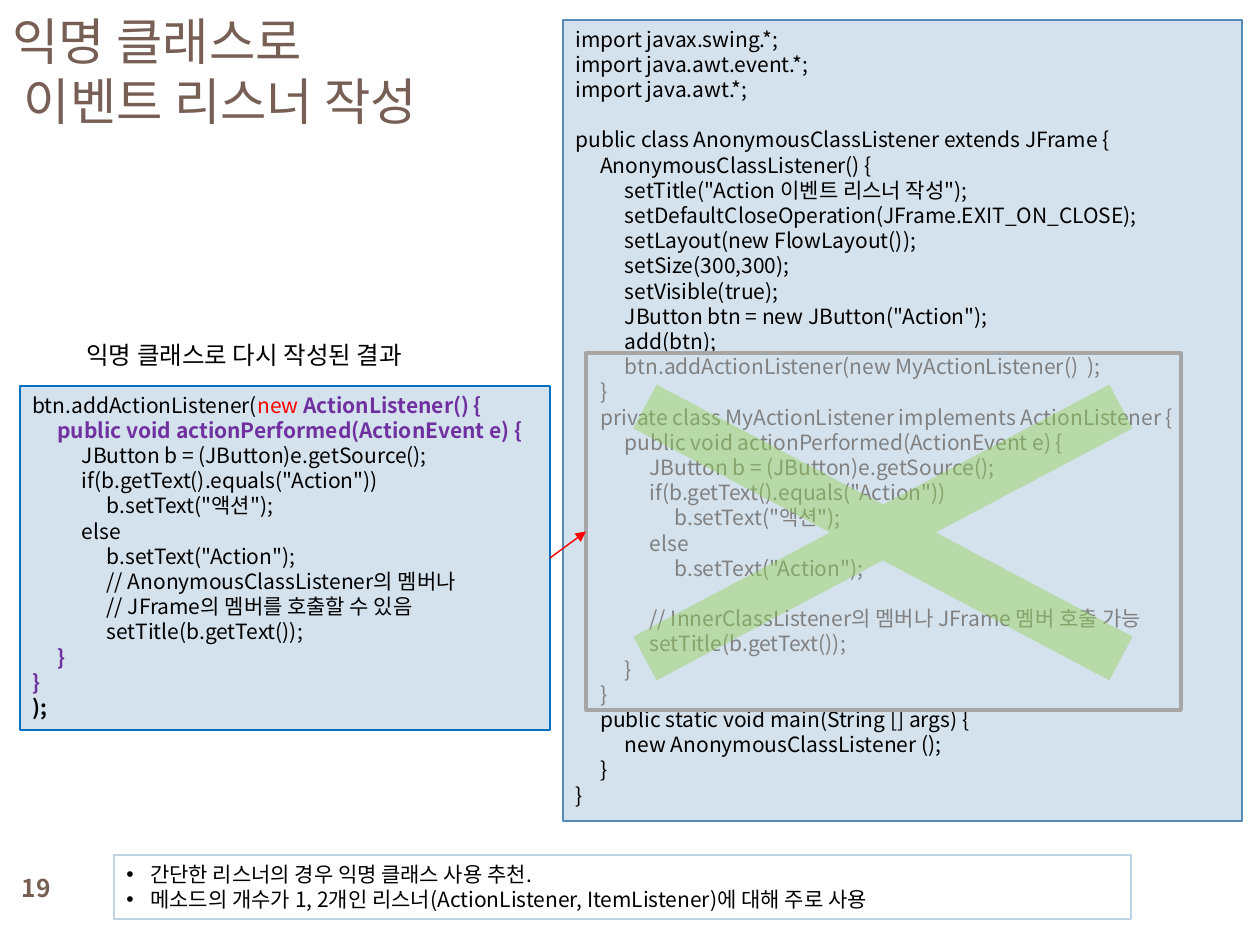
from lxml.etree import SubElement
from pptx import Presentation
from pptx.dml.color import RGBColor
from pptx.enum.shapes import MSO_CONNECTOR, MSO_SHAPE
from pptx.enum.text import MSO_ANCHOR, PP_ALIGN
from pptx.oxml.ns import qn
from pptx.util import Emu, Mm, Pt

PX = 914400 / 126
FONT = "Noto Sans CJK KR"
COLORS = {
    "brown": "775F55", "black": "000000", "gray": "808080", "red": "FF0000",
    "purple": "7030A0", "panel": "D4E2ED", "panel_edge": "558BB8",
    "blue": "0070C0", "note_edge": "BFD3E4", "frame": "A6A6A6", "green": "92D050",
}

CODE_START = """\
import javax.swing.*;
import java.awt.event.*;
import java.awt.*;

public class AnonymousClassListener extends JFrame {
    AnonymousClassListener() {
        setTitle("Action 이벤트 리스너 작성");
        setDefaultCloseOperation(JFrame.EXIT_ON_CLOSE);
        setLayout(new FlowLayout());
        setSize(300,300);
        setVisible(true);
        JButton btn = new JButton("Action");
        add(btn);"""
CODE_REPLACED = """\
        btn.addActionListener(new MyActionListener()  );
    }
    private class MyActionListener implements ActionListener {
        public void actionPerformed(ActionEvent e) {
            JButton b = (JButton)e.getSource();
            if(b.getText().equals("Action"))
                b.setText("액션");
            else
                b.setText("Action");

            // InnerClassListener의 멤버나 JFrame 멤버 호출 가능
            setTitle(b.getText());
        }
    }"""
CODE_END = """\
    public static void main(String [] args) {
        new AnonymousClassListener ();
    }
}"""
ANSWER_BODY = """\
        JButton b = (JButton)e.getSource();
        if(b.getText().equals("Action"))
            b.setText("액션");
        else
            b.setText("Action");
            // AnonymousClassListener의 멤버나
            // JFrame의 멤버를 호출할 수 있음
            setTitle(b.getText());"""


def px(value):
    return Emu(round(value * PX))


def rgb(name):
    return RGBColor.from_string(COLORS[name])


def code_lines(block, color, bold=False):
    """One paragraph per line, each indent level as a tab."""
    return [[(line.replace("    ", "\t"), color, bold)] for line in block.split("\n")]


class SlideBuilder:
    def __init__(self, slide):
        self.slide = slide

    def style_font(self, font, size, color, bold=False):
        font.name, font.size, font.bold = FONT, Pt(size), bold
        font.color.rgb = rgb(color)
        latin = font._element.find(qn("a:latin"))
        east_asian = latin.makeelement(qn("a:ea"), {"typeface": FONT})
        latin.addnext(east_asian)

    def fill_text(self, shape, paragraphs, size=12, align=PP_ALIGN.LEFT,
                  anchor=MSO_ANCHOR.TOP, tabs=False, bullet=False):
        frame = shape.text_frame
        frame.word_wrap = True
        frame.vertical_anchor = anchor
        for index, runs in enumerate(paragraphs):
            paragraph = frame.add_paragraph() if index else frame.paragraphs[0]
            paragraph.alignment = align
            paragraph.line_spacing = Pt(size * 1.2)
            properties = paragraph._p.get_or_add_pPr()
            if bullet:
                properties.set("marL", str(px(24)))
                properties.set("indent", str(-px(24)))
                SubElement(properties, qn("a:buFont"), typeface="Arial")
                SubElement(properties, qn("a:buChar"), char="•")
            if tabs:
                stops = SubElement(properties, qn("a:tabLst"))
                for level in range(1, 5):
                    SubElement(stops, qn("a:tab"), pos=str(Mm(5) * level), algn="l")
            self.style_font(paragraph.font, size, *runs[0][1:])
            for text, color, bold in runs:
                run = paragraph.add_run()
                run.text = text
                if len(runs) > 1:
                    self.style_font(run.font, size, color, bold)

    def title(self, box, lines, size):
        shape = self.slide.shapes.title
        shape.left, shape.top, shape.width, shape.height = map(px, box)
        self.fill_text(shape, [[(line, "brown", False)] for line in lines], size,
                       anchor=MSO_ANCHOR.MIDDLE)

    def text(self, box, text, color="black", bold=False, **style):
        shape = self.slide.shapes.add_textbox(*map(px, box))
        self.fill_text(shape, [[(text, color, bold)]], **style)

    def shape(self, box, fill=None, line=None, width=0.75, kind=MSO_SHAPE.RECTANGLE):
        shape = self.slide.shapes.add_shape(kind, *map(px, box))
        shape.shadow.inherit = False
        if fill:
            shape.fill.solid()
            shape.fill.fore_color.rgb = rgb(fill)
        else:
            shape.fill.background()
        if line:
            shape.line.color.rgb = rgb(line)
            shape.line.width = Pt(width)
        else:
            shape.line.fill.background()
        return shape

    def cross(self, box, fill, thickness, opacity):
        shape = self.shape(box, fill, kind=MSO_SHAPE.MATH_MULTIPLY)
        shape.adjustments[0] = thickness
        color = shape._element.spPr.find(qn("a:solidFill"))[0]
        SubElement(color, qn("a:alpha"), val=str(opacity * 1000))

    def arrow(self, source, target, color, width):
        """Arrow from the right side of source to the left side of target."""
        connector = self.slide.shapes.add_connector(MSO_CONNECTOR.STRAIGHT, 0, 0, 0, 0)
        connector.begin_connect(source, 3)
        connector.end_connect(target, 1)
        connector.line.color.rgb = rgb(color)
        connector.line.width = Pt(width)
        properties = connector._element.spPr
        SubElement(properties.get_or_add_ln(), qn("a:tailEnd"), type="triangle")
        SubElement(properties, qn("a:effectLst"))


def main():
    presentation = Presentation()
    presentation.slide_width, presentation.slide_height = px(1260), px(945)
    builder = SlideBuilder(presentation.slides.add_slide(presentation.slide_layouts[5]))

    # Title and page number
    builder.title((0, 24, 1124, 93), ["익명 클래스로", " 이벤트 리스너 작성"], 28.8)
    builder.text((0, 861, 73, 53), "19", "brown", True, size=14,
                 align=PP_ALIGN.CENTER, anchor=MSO_ANCHOR.MIDDLE)

    # Full listing
    listing = builder.shape((563, 20, 679, 801), "panel", "panel_edge")
    builder.fill_text(listing, code_lines(CODE_START, "black")
                      + code_lines(CODE_REPLACED, "gray")
                      + code_lines(CODE_END, "black"), tabs=True)

    # Rewritten listener
    builder.text((74, 334, 387, 43), "익명 클래스로 다시 작성된 결과", size=14)
    answer = builder.shape((20, 386, 530, 344), "panel", "blue", 1.5)
    opening = [("btn.addActionListener(", "black", False), ("new ", "red", False),
               ("ActionListener() {", "purple", True)]
    signature = "    public void actionPerformed(ActionEvent e) {"
    builder.fill_text(answer, [opening]
                      + code_lines(signature, "purple", True)
                      + code_lines(ANSWER_BODY, "black")
                      + code_lines("    }\n}", "purple", True)
                      + code_lines(");", "black", True), tabs=True)

    # Crossed-out part that the listener replaces
    replaced = builder.shape((586, 353, 595, 357), line="frame", width=2.25)
    builder.arrow(answer, replaced, "red", 0.79)
    builder.cross((425, 290, 916, 485), "green", 0.102, 44)

    # Notes on use
    notes = builder.shape((114, 855, 1017, 64), line="note_edge")
    builder.fill_text(notes, [[(text, "black", False)] for text in (
        "간단한 리스너의 경우 익명 클래스 사용 추천.",
        "메소드의 개수가 1, 2개인 리스너(ActionListener, ItemListener)에 대해 주로 사용",
    )], bullet=True)

    presentation.save("out.pptx")


if __name__ == "__main__":
    main()
